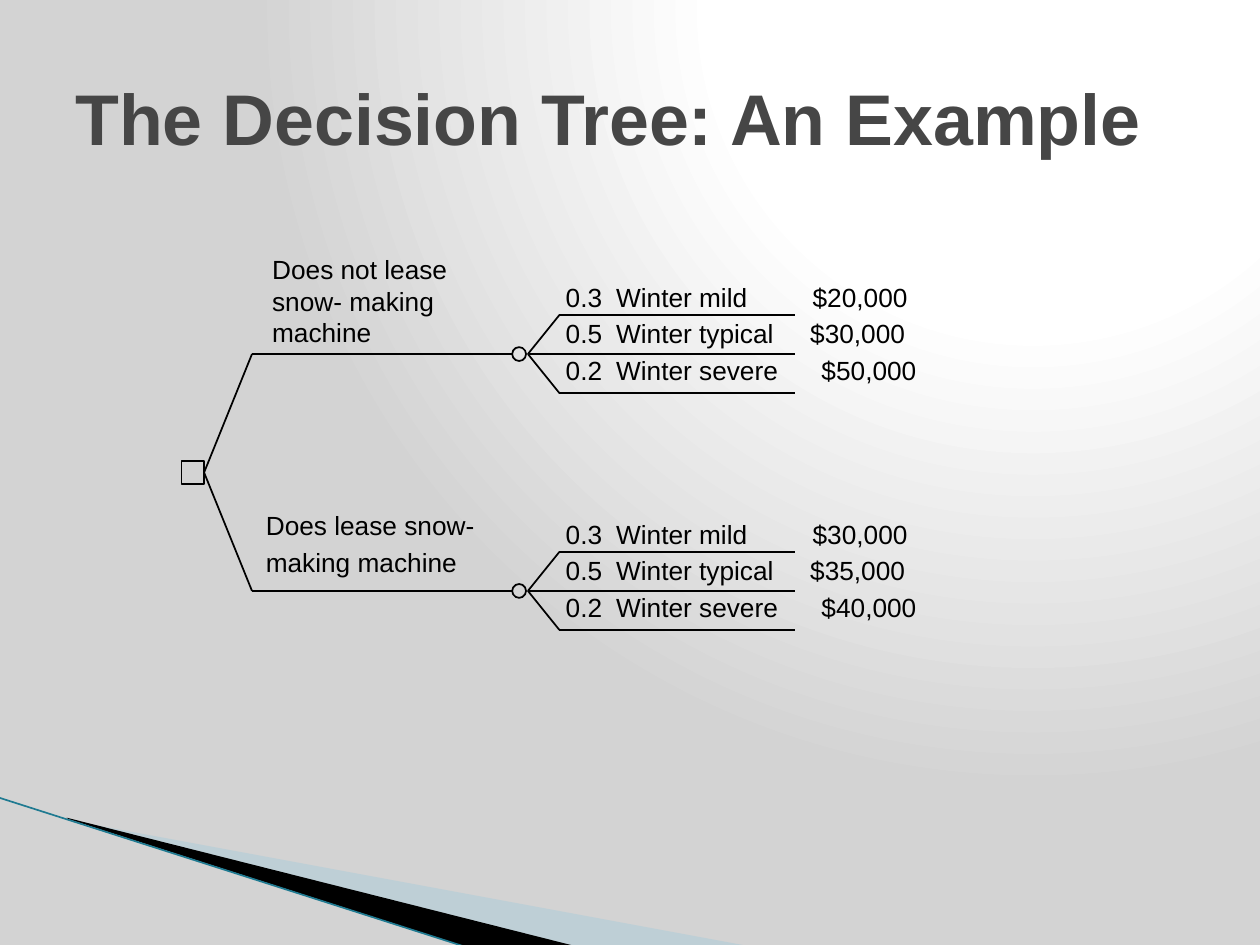
from lxml import etree
from pptx import Presentation
from pptx.dml.color import RGBColor
from pptx.enum.shapes import MSO_CONNECTOR as Link, MSO_SHAPE as Kind
from pptx.enum.text import MSO_ANCHOR as Anchor
from pptx.oxml import parse_xml
from pptx.oxml.ns import nsdecls, qn
from pptx.util import Inches, Pt


def paint(hue):
    return RGBColor.from_string(hue)


def add_text(slide, box, text, size=15, hue="000000", bold=False,
             inset=(0.07, 0.04), anchor=Anchor.TOP, before=3, tabs=()):
    frame = slide.shapes.add_textbox(*map(Inches, box)).text_frame
    frame.word_wrap = True
    frame.vertical_anchor = anchor
    frame.margin_left = frame.margin_right = Inches(inset[0])
    frame.margin_top = frame.margin_bottom = Inches(inset[1])
    for i, line in enumerate(text.split("\n")):
        para = frame.paragraphs[0] if i == 0 else frame.add_paragraph()
        para.space_before = Pt(before)
        if tabs:
            stops = etree.SubElement(para._p.get_or_add_pPr(), qn("a:tabLst"))
            for stop in tabs[i]:
                etree.SubElement(stops, qn("a:tab"), pos=str(Inches(stop)), algn="l")
        run = para.add_run()
        run.text = line
        run.font.name = "Arial"
        run.font.size = Pt(size)
        run.font.bold = bold
        run.font.color.rgb = paint(hue)


def add_line(slide, start, end, hue="000000", width=1):
    line = slide.shapes.add_connector(Link.STRAIGHT, *map(Inches, (*start, *end)))
    line.line.color.rgb = paint(hue)
    line.line.width = Pt(width)
    etree.SubElement(line._element.spPr, qn("a:effectLst"))


def add_node(slide, kind, x, y, size):
    box = (x - size / 2, y - size / 2, size, size)
    node = slide.shapes.add_shape(kind, *map(Inches, box))
    node.shadow.inherit = False
    node.fill.background()
    node.line.color.rgb = paint("000000")
    node.line.width = Pt(1)


def add_wedge(slide, points, hue, alpha=100):
    spots = [(Inches(x), Inches(y)) for x, y in points]
    pen = slide.shapes.build_freeform(*spots[0])
    pen.add_line_segments(spots[1:])
    wedge = pen.convert_to_shape()
    wedge.shadow.inherit = False
    wedge.line.fill.background()
    wedge.fill.solid()
    wedge.fill.fore_color.rgb = paint(hue)
    tint = wedge._element.spPr.find(qn("a:solidFill"))[0]
    etree.SubElement(tint, qn("a:alpha"), val=str(alpha * 1000))


def add_back(slide):
    slide.background.fill.solid()
    stops = "".join(
        f'<a:gs pos="{pos * 1000}"><a:srgbClr val="{hue}"/></a:gs>'
        for pos, hue in ((0, "FFFFFF"), (40, "FFFFFF"), (100, "D3D3D3")))
    grad = parse_xml(
        f'<a:gradFill {nsdecls("a")} rotWithShape="1"><a:gsLst>{stops}</a:gsLst>'
        '<a:path path="circle"><a:fillToRect l="65000" b="98000"/></a:path></a:gradFill>')
    solid = next(slide._element.iter(qn("a:solidFill")))
    solid.getparent().replace(solid, grad)


def add_decor(slide, x, y):
    add_wedge(slide, [(x, y + 0.01), (x + 5.4, y + 1.01), (x + 4.01, y + 1.01), (x, y)],
              "A0CBDC", alpha=40)
    add_wedge(slide, [(x - 0.02, y - 0.01), (x + 4.02, y + 1.01),
                      (x + 3.17, y + 1.02), (x - 0.01, y)], "000000")
    add_line(slide, (x - 0.56, y - 0.17), (x + 3.16, y + 1.02), "1F7A91", 0.95)


def add_branch(slide, x, y, label, spot, sums):
    add_line(slide, (x, y), (x + 2.06, y))
    add_node(slide, Kind.OVAL, x + 2.12, y, 0.11)
    hub, bend, end = x + 2.19, x + 2.44, x + 4.31
    add_line(slide, (hub, y), (end, y))
    for level in (y - 0.31, y + 0.31):
        add_line(slide, (hub, y), (bend, level))
        add_line(slide, (bend, level), (end, level))
    add_text(slide, spot, label)
    odds = ("0.3\tWinter mild", "0.5\tWinter typical", "0.2\tWinter severe")
    rows = "\n".join(f"{odd}\t{total}" for odd, total in zip(odds, sums))
    add_text(slide, (x + 2.42, y - 0.62, 2.97, 0.93), rows,
             tabs=((0.4, 1.96), (0.4, 1.94), (0.4, 2.03)))


def add_tree(slide, x, y):
    add_node(slide, Kind.RECTANGLE, x, y, 0.18)
    fork, bend, rise = x + 0.09, x + 0.47, 0.94
    arms = (
        (y - rise, "Does not lease snow- making machine", (2.09, 1.97, 2.1, 0.83),
         ("$20,000", "$30,000", "$50,000")),
        (y + rise, "Does lease snow-\nmaking machine", (2.04, 4, 1.83, 0.63),
         ("$30,000", "$35,000", "$40,000")),
    )
    for level, label, spot, sums in arms:
        add_line(slide, (fork, y), (bend, level))
        add_branch(slide, bend, level, label, spot, sums)


def main():
    deck = Presentation()
    deck.slide_width, deck.slide_height = Inches(10), Inches(7.5)
    slide = deck.slides.add_slide(deck.slide_layouts[6])
    add_back(slide)
    add_decor(slide, 0.55, 6.5)
    add_text(slide, (0.5, 0.3, 9, 1.25), "The Decision Tree: An Example", size=41,
             hue="464646", bold=True, inset=(0.1, 0.05), anchor=Anchor.MIDDLE, before=0)
    add_tree(slide, 1.53, 3.75)
    deck.save("out.pptx")


if __name__ == "__main__":
    main()
